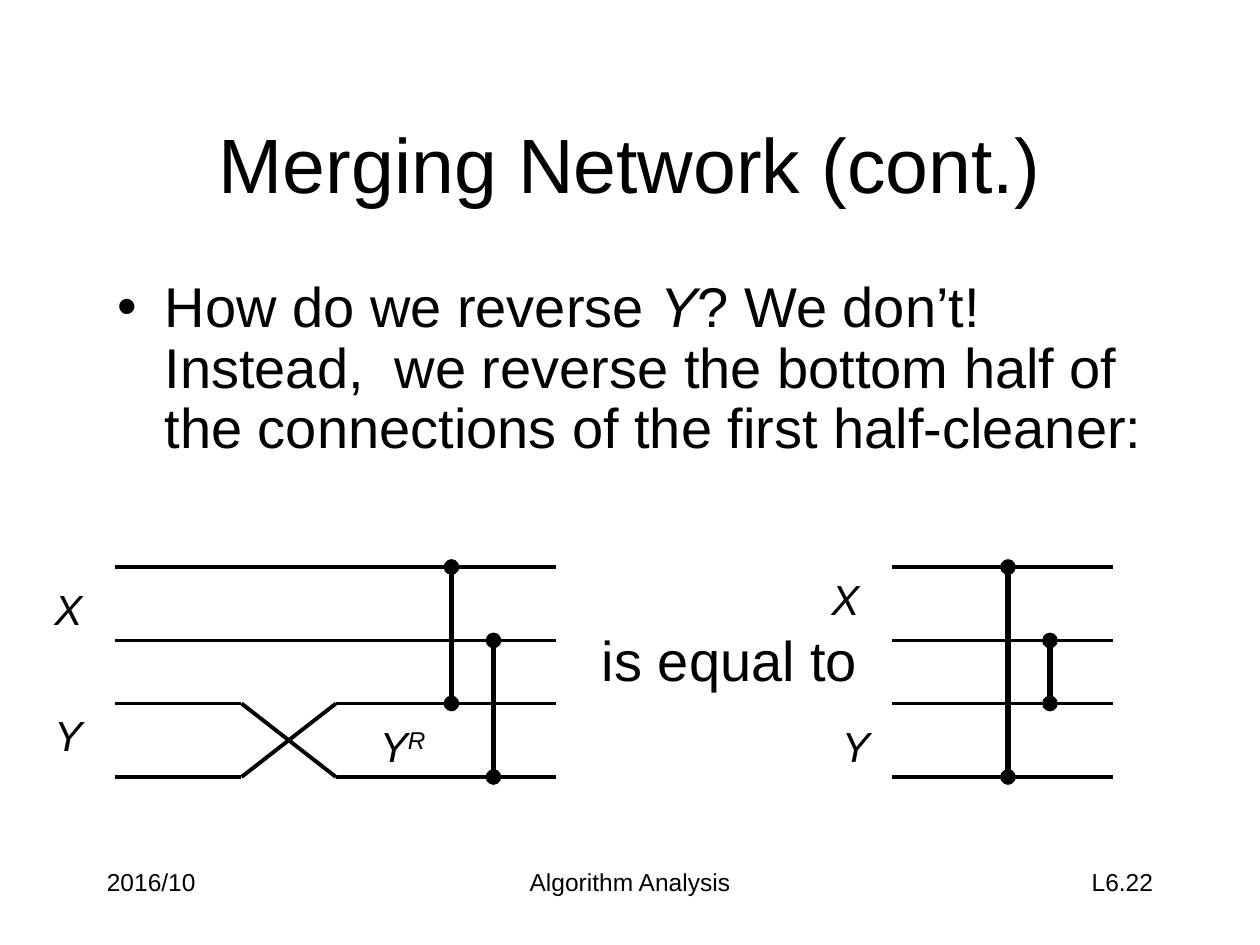
from dataclasses import dataclass

from pptx import Presentation
from pptx.dml.color import RGBColor
from pptx.enum.shapes import MSO_CONNECTOR
from pptx.enum.text import MSO_ANCHOR, PP_ALIGN
from pptx.oxml.ns import qn
from pptx.util import Pt
from lxml.etree import SubElement


@dataclass(frozen=True)
class Theme:
    """Colours, font, type sizes and line widths of the slide."""
    ink: RGBColor = RGBColor(0, 0, 0)
    paper: RGBColor = RGBColor(255, 255, 255)
    font: str = "Arial"
    title: int = 44
    body: int = 32
    label: int = 24
    footer: int = 14
    wire: float = 2.25
    gate: float = 3


THEME = Theme()
ROWS = (324, 366, 402, 444)


def add_text(s, box, text, size, align=PP_ALIGN.LEFT, anchor=MSO_ANCHOR.TOP, italic=False):
    """Add a wrapped text box in one style and return its paragraph."""
    tf = s.shapes.add_textbox(*map(Pt, box)).text_frame
    tf.word_wrap = True
    tf.vertical_anchor = anchor
    tf.text = text
    p = tf.paragraphs[0]
    p.alignment = align
    style_run(p.runs[0], size, italic)
    return p


def style_run(r, size, italic=False):
    """Apply the theme font to a run."""
    r.font.name = THEME.font
    r.font.size = Pt(size)
    r.font.italic = italic
    r.font.color.rgb = THEME.ink


def append_run(p, text, size, italic=False):
    """Append a styled run to a paragraph and return it."""
    r = p.add_run()
    r.text = text
    style_run(r, size, italic)
    return r


def add_label(s, left, top, text, width=36):
    """Add an italic sequence name and return its paragraph."""
    return add_text(s, (left, top, width, 36), text, THEME.label, italic=True)


def add_line(s, x1, y1, x2, y2, width):
    """Add a straight connector without shadow and return it."""
    sp = s.shapes.add_connector(MSO_CONNECTOR.STRAIGHT, *map(Pt, (x1, y1, x2, y2)))
    sp.line.color.rgb = THEME.ink
    sp.line.width = Pt(width)
    SubElement(sp._element.spPr, qn("a:effectLst"))
    return sp


def add_wire(s, x1, y1, x2, y2):
    """Add a wire of a network."""
    add_line(s, x1, y1, x2, y2, THEME.wire)


def add_comparator(s, x, y1, y2):
    """Add a vertical comparator with a dot at each end."""
    ln = add_line(s, x, y1, x, y2, THEME.gate).line._get_or_add_ln()
    for tag in ("a:headEnd", "a:tailEnd"):
        SubElement(ln, qn(tag), type="oval")


def add_bullet(p, indent):
    """Give a paragraph a hanging round bullet."""
    pPr = p._p.get_or_add_pPr()
    pPr.set("marL", str(Pt(indent)))
    pPr.set("indent", str(-Pt(indent)))
    SubElement(pPr, qn("a:buFont"), typeface=THEME.font)
    SubElement(pPr, qn("a:buChar"), char="•")


def add_body(s):
    """Add the bulleted question and its answer."""
    p = add_text(s, (60, 156, 612, 120), "How do we reverse ", THEME.body)
    append_run(p, "Y", THEME.body, italic=True)
    append_run(p, "? We don’t! Instead,  we reverse the bottom half of "
                  "the connections of the first half-cleaner:", THEME.body)
    p.line_spacing = 0.9
    add_bullet(p, 27)


def add_crossed_network(s):
    """Add the half-cleaner whose lower inputs cross over."""
    left, cross, uncross, right = 66, 138, 192, 318
    for y in ROWS[:2]:
        add_wire(s, left, y, right, y)
    for y, swapped in zip(ROWS[2:], ROWS[:1:-1]):
        add_wire(s, left, y, cross, y)
        add_wire(s, cross, y, uncross, swapped)
        add_wire(s, uncross, y, right, y)
    add_comparator(s, 258, ROWS[0], ROWS[2])
    add_comparator(s, 282, ROWS[1], ROWS[3])
    add_label(s, 24, 330, "X")
    add_label(s, 24, 402, "Y")
    p = add_label(s, 210, 408, "Y", width=48)
    r = append_run(p, "R", THEME.label, italic=True)
    r.font._element.set("baseline", "30000")


def add_nested_network(s):
    """Add the equivalent network with nested comparators."""
    for y in ROWS:
        add_wire(s, 510, y, 636, y)
    add_comparator(s, 576, ROWS[0], ROWS[3])
    add_comparator(s, 600, ROWS[1], ROWS[2])
    add_label(s, 468, 324, "X")
    add_label(s, 474, 408, "Y")


def add_footer(s):
    """Add date, course name and page number."""
    for left, width, text, align in (
        (54, 150, "2016/10", PP_ALIGN.LEFT),
        (222, 276, "Algorithm Analysis", PP_ALIGN.CENTER),
        (516, 150, "L6.22", PP_ALIGN.RIGHT),
    ):
        add_text(s, (left, 492, width, 36), text, THEME.footer, align)


def main():
    """Build and save the slide."""
    prs = Presentation()
    prs.slide_width, prs.slide_height = Pt(720), Pt(540)
    s = prs.slides.add_slide(prs.slide_layouts[6])
    s.background.fill.solid()
    s.background.fill.fore_color.rgb = THEME.paper
    add_footer(s)
    add_text(s, (54, 48, 612, 90), "Merging Network (cont.)", THEME.title,
             PP_ALIGN.CENTER, MSO_ANCHOR.MIDDLE)
    add_body(s)
    add_crossed_network(s)
    add_nested_network(s)
    add_text(s, (330, 354, 174, 46), "is equal to", THEME.body, PP_ALIGN.CENTER)
    prs.save("out.pptx")


if __name__ == "__main__":
    main()
